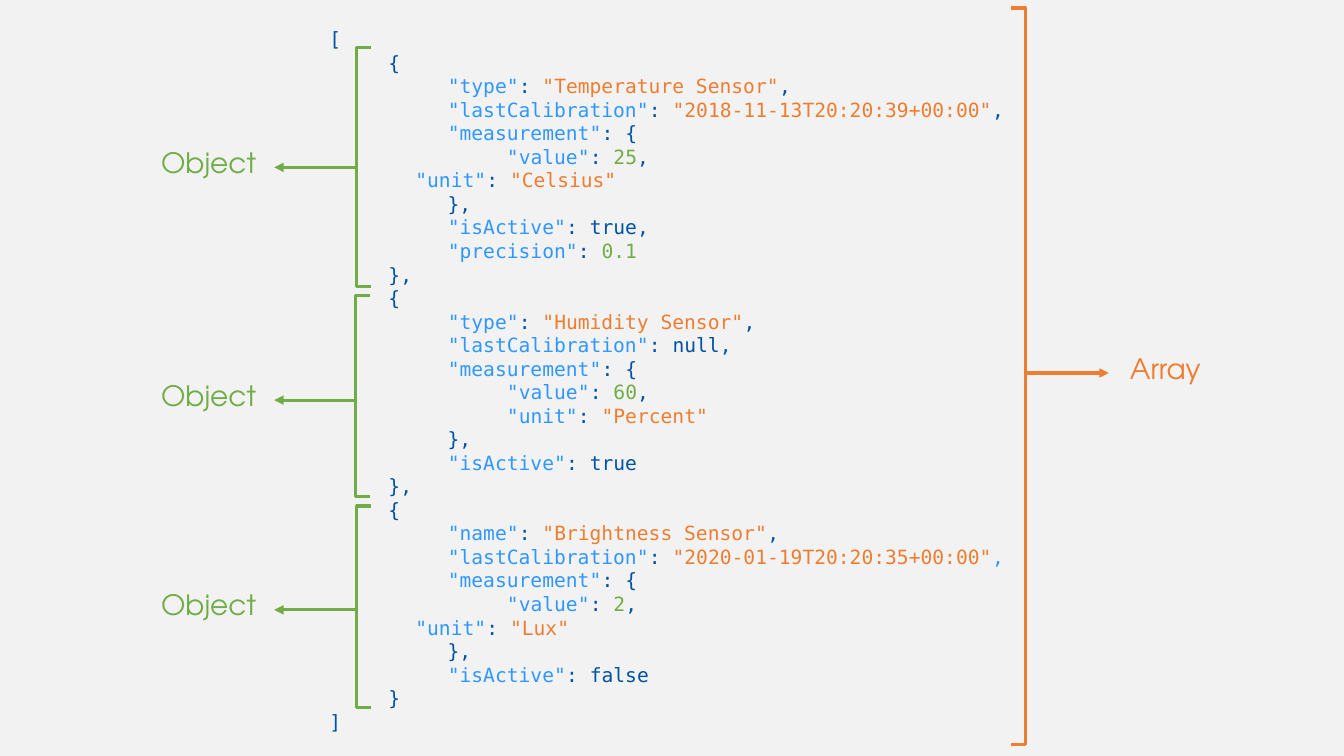
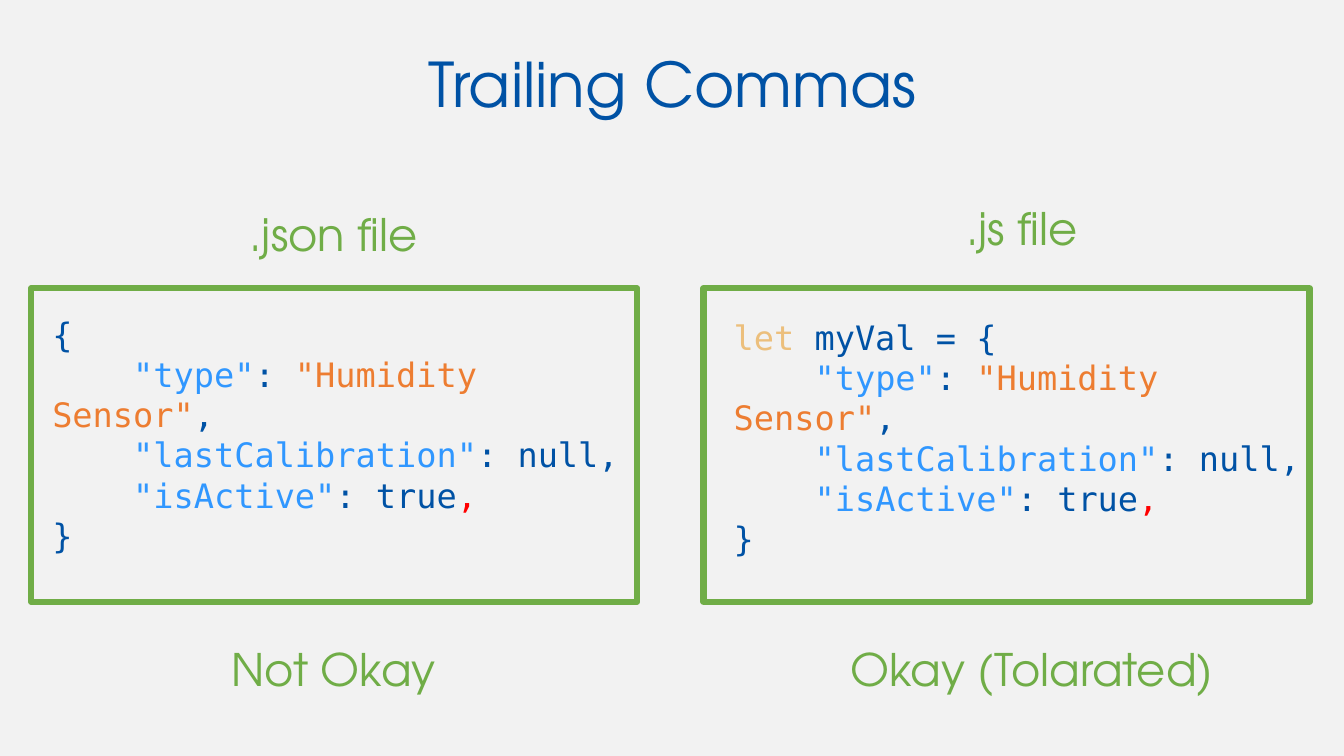
import dataclasses
import itertools
from collections.abc import Iterator

import lxml.etree
import pptx
import pptx.dml.color
import pptx.enum.shapes
import pptx.enum.text
import pptx.oxml.ns
import pptx.util

CELL = 0.1  # inches; every column and row of the grid is one cell
COLUMNS, ROWS = 133.33, 75

PRESETS = pptx.enum.shapes.MSO_SHAPE
ALIGN = pptx.enum.text.PP_ALIGN
ANCHOR = pptx.enum.text.MSO_ANCHOR


@dataclasses.dataclass(frozen=True)
class Theme:
    background: str = "F2F2F2"
    plain: str = "0052A5"
    key: str = "3097FF"
    string: str = "ED7D31"
    number: str = "70AD47"
    keyword: str = "ECBF7C"
    warning: str = "FF0000"
    green: str = "70AD47"
    orange: str = "ED7D31"
    text_font: str = "TeX Gyre Adventor"
    code_font: str = "DejaVu Sans Mono"
    title_size: int = 44
    heading_size: int = 32
    label_size: int = 20
    large_code: int = 24
    small_code: int = 14
    bracket_line: float = 2.25
    panel_line: float = 4.5


THEME = Theme()


@dataclasses.dataclass(frozen=True)
class Area:
    column: float
    row: float
    columns: float
    rows: float

    def lengths(self) -> list[int]:
        return [cells(value) for value in dataclasses.astuple(self)]


@dataclasses.dataclass(frozen=True)
class Bracket:
    preset: PRESETS
    area: Area
    arrow_row: float
    arrow_start: float
    arrow_end: float
    label: str
    label_centre: float
    colour: str


@dataclasses.dataclass(frozen=True)
class Panel:
    heading: str
    heading_centre: float
    heading_row: float
    verdict: str
    verdict_centre: float
    code: str
    code_column: float
    code_row: float


SENSORS = """[
     {
          "type": "Temperature Sensor",
          "lastCalibration": "2018-11-13T20:20:39+00:00",
          "measurement": {
               "value": 25,
\t   "unit": "Celsius"
          },
          "isActive": true,
          "precision": 0.1
     },
     {
          "type": "Humidity Sensor",
          "lastCalibration": null,
          "measurement": {
               "value": 60,
               "unit": "Percent"
          },
          "isActive": true
     },
     {
          "name": "Brightness Sensor",
          "lastCalibration": "2020-01-19T20:20:35+00:00",
          "measurement": {
               "value": 2,
\t   "unit": "Lux"
          },
          "isActive": false
     }
]"""

HUMIDITY = """{
    "type": "Humidity Sensor",
    "lastCalibration": null,
    "isActive": true,
}"""


def object_bracket(column: float, row: float, rows: float, arrow_row: float) -> Bracket:
    return Bracket(PRESETS.LEFT_BRACKET, Area(column, row, 1.4, rows), arrow_row,
                   column, 27.2, "Object", 20.7, THEME.green)


BRACKETS = (
    object_bracket(35.4, 4.7, 23.7, 16.6),
    object_bracket(35.3, 29.3, 20, 39.7),
    object_bracket(35.4, 50.2, 20, 60.5),
    Bracket(PRESETS.RIGHT_BRACKET, Area(100.3, 0.8, 1.4, 73.1), 37,
            101.9, 110, "Array", 115.6, THEME.orange),
)

PANELS = (
    Panel(".json file", 33.1, 20, "Not Okay", 33.1, HUMIDITY, 4.2, 30.6),
    Panel(".js file", 101.4, 19.4, "Okay (Tolarated)", 102.4,
          "let myVal = " + HUMIDITY, 71.8, 30.9),
)
PANEL_LEFT, PANEL_PITCH = 3.1, 66.7


def cells(count: float) -> int:
    return pptx.util.Inches(count * CELL)


def rgb(colour: str) -> pptx.dml.color.RGBColor:
    return pptx.dml.color.RGBColor.from_string(colour)


def apply(target: object, values: dict) -> None:
    for name, value in values.items():
        setattr(target, name, value)


def add_page(deck: pptx.presentation.Presentation) -> pptx.slide.Slide:
    page = deck.slides.add_slide(deck.slide_layouts[6])
    fill = page.background.fill
    fill.solid()
    fill.fore_color.rgb = rgb(THEME.background)
    return page


def add_span(para, text: str, font: str, size: int, colour: str) -> None:
    span = para.add_run()
    span.text = text
    apply(span.font, {"name": font, "size": pptx.util.Pt(size)})
    span.font.color.rgb = rgb(colour)


def add_label(page: pptx.slide.Slide, text: str, area: Area, size: int,
              colour: str, line_spacing: float = 1.0) -> None:
    frame = page.shapes.add_textbox(*area.lengths()).text_frame
    apply(frame, {"word_wrap": True, "vertical_anchor": ANCHOR.MIDDLE})
    para = frame.paragraphs[0]
    apply(para, {"alignment": ALIGN.CENTER, "line_spacing": line_spacing})
    add_span(para, text, THEME.text_font, size, colour)


def tokens(line: str) -> Iterator[tuple[str, str]]:
    """Split a line of code into pieces of text with their colours."""
    pieces = line.split('"')
    for index, piece in enumerate(pieces):
        if index % 2:
            is_key = pieces[index + 1].startswith(":")
            yield f'"{piece}"', THEME.key if is_key else THEME.string
        elif piece.startswith("let "):
            yield "let", THEME.keyword
            yield piece.removeprefix("let"), THEME.plain
        else:
            for is_number, group in itertools.groupby(piece, lambda sign: sign in "0123456789."):
                yield "".join(group), THEME.number if is_number else THEME.plain


def add_code(page: pptx.slide.Slide, code: str, area: Area, size: int,
             comma_line: int, comma_colour: str) -> None:
    """Add coloured code; the last comma of comma_line has its own colour."""
    frame = page.shapes.add_textbox(*area.lengths()).text_frame
    frame.word_wrap = True
    for index, line in enumerate(code.split("\n")):
        para = frame.paragraphs[0] if index == 0 else frame.add_paragraph()
        special = index == comma_line
        for text, colour in tokens(line.removesuffix(",") if special else line):
            add_span(para, text, THEME.code_font, size, colour)
        if special:
            add_span(para, ",", THEME.code_font, size, comma_colour)


def add_outline(page: pptx.slide.Slide, preset: PRESETS, area: Area,
                colour: str, width: float):
    shape = page.shapes.add_shape(preset, *area.lengths())
    shape.shadow.inherit = False
    shape.fill.background()
    shape.line.color.rgb = rgb(colour)
    shape.line.width = pptx.util.Pt(width)
    return shape


def add_arrow(page: pptx.slide.Slide, start: float, end: float, row: float,
              colour: str) -> None:
    arrow = page.shapes.add_connector(
        pptx.enum.shapes.MSO_CONNECTOR.STRAIGHT,
        cells(start), cells(row), cells(end), cells(row))
    arrow.line.color.rgb = rgb(colour)
    arrow.line.width = pptx.util.Pt(THEME.bracket_line)
    qualified = pptx.oxml.ns.qn
    lxml.etree.SubElement(arrow.line._get_or_add_ln(), qualified("a:tailEnd"), type="triangle")
    lxml.etree.SubElement(arrow._element.spPr, qualified("a:effectLst"))


def add_bracket(page: pptx.slide.Slide, bracket: Bracket) -> None:
    shape = add_outline(page, bracket.preset, bracket.area, bracket.colour, THEME.bracket_line)
    shape.adjustments[0] = 0
    add_arrow(page, bracket.arrow_start, bracket.arrow_end, bracket.arrow_row, bracket.colour)
    width, height = 15.8, 4.4
    area = Area(bracket.label_centre - width / 2, bracket.arrow_row - 0.5 - height / 2,
                width, height)
    add_label(page, bracket.label, area, THEME.label_size, bracket.colour)


def add_panel(page: pptx.slide.Slide, panel: Panel, column: float) -> None:
    add_outline(page, PRESETS.RECTANGLE, Area(column, 28.6, 60.1, 31.1),
                THEME.green, THEME.panel_line)
    width = 50
    for text, centre, row in ((panel.heading, panel.heading_centre, panel.heading_row),
                              (panel.verdict, panel.verdict_centre, 63.1)):
        add_label(page, text, Area(centre - width / 2, row, width, 6.4),
                  THEME.heading_size, THEME.green)
    add_code(page, panel.code, Area(panel.code_column, panel.code_row, 59.1, 21.2),
             THEME.large_code, 3, THEME.warning)


def build_structure(deck: pptx.presentation.Presentation) -> None:
    page = add_page(deck)
    add_code(page, SENSORS, Area(31.7, 2.2, 80.9, 71.7), THEME.small_code, 22, THEME.key)
    for bracket in BRACKETS:
        add_bracket(page, bracket)


def build_commas(deck: pptx.presentation.Presentation) -> None:
    page = add_page(deck)
    add_label(page, "Trailing Commas", Area(9.2, 4.3, 115, 8.8),
              THEME.title_size, THEME.plain, 0.9)
    for index, panel in enumerate(PANELS):
        add_panel(page, panel, PANEL_LEFT + index * PANEL_PITCH)


def main() -> None:
    deck = pptx.Presentation()
    apply(deck, {"slide_width": cells(COLUMNS), "slide_height": cells(ROWS)})
    build_structure(deck)
    build_commas(deck)
    deck.save("out.pptx")


if __name__ == "__main__":
    main()
